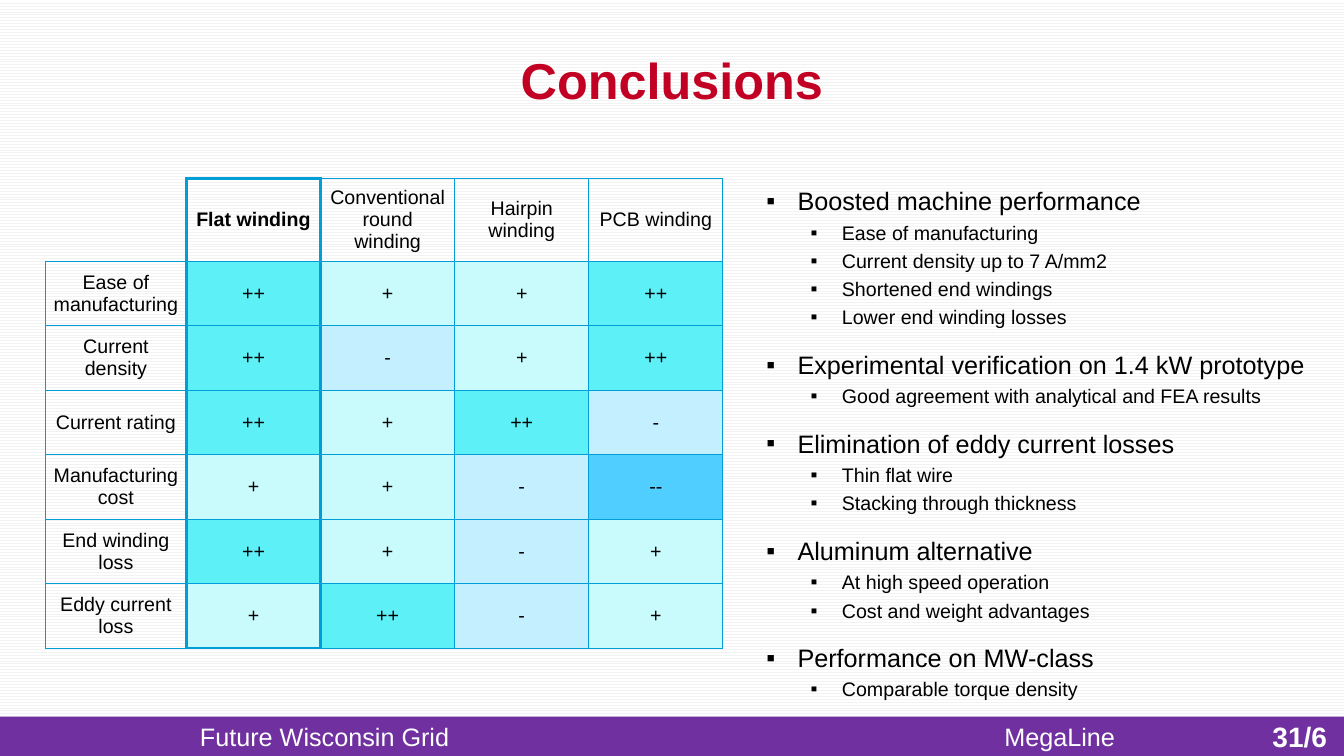
from dataclasses import dataclass

from lxml import etree
from pptx import Presentation
from pptx.dml.color import RGBColor
from pptx.enum.dml import MSO_PATTERN
from pptx.enum.shapes import MSO_SHAPE
from pptx.enum.text import MSO_ANCHOR, MSO_AUTO_SIZE, PP_ALIGN
from pptx.oxml.ns import qn
from pptx.slide import Slide
from pptx.table import _Cell
from pptx.util import Inches, Pt

ZIG_ZAG = MSO_PATTERN.ZIG_ZAG
RECTANGLE = MSO_SHAPE.RECTANGLE
MIDDLE, TOP = MSO_ANCHOR.MIDDLE, MSO_ANCHOR.TOP
NO_AUTOFIT = MSO_AUTO_SIZE.NONE
CENTER, LEFT, RIGHT = PP_ALIGN.CENTER, PP_ALIGN.LEFT, PP_ALIGN.RIGHT

WHITE = RGBColor(0xFF, 0xFF, 0xFF)
BLACK = RGBColor(0x00, 0x00, 0x00)
PALE_GRAY = RGBColor(0xF2, 0xF2, 0xF2)
PURPLE = RGBColor(0x70, 0x30, 0xA0)
CRIMSON = RGBColor(0xC2, 0x00, 0x24)
GRID_BLUE = RGBColor(0x00, 0x9D, 0xD9)
RATING_COLORS = {
    "++": RGBColor(0x5E, 0xF0, 0xF7),
    "+": RGBColor(0xC9, 0xFA, 0xFC),
    "-": RGBColor(0xC4, 0xEF, 0xFF),
    "--": RGBColor(0x4F, 0xCE, 0xFF),
}
FONT = "Arial"
SLIDE_WIDTH, SLIDE_HEIGHT = 13.33, 7.5
THIN, THICK = 0.75, 2.25
FEATURED_COLUMN = 1


@dataclass
class FooterText:
    text: str
    left: float
    top: float
    width: float
    height: float
    size: int
    align: PP_ALIGN
    bold: bool = False


@dataclass
class Finding:
    heading: str
    details: list[str]


FOOTER_TEXTS = [
    FooterText("MegaLine", 7.69, 7.1, 5.64, 0.41, 18, CENTER),
    FooterText("31/6", 12.25, 7.08, 1.01, 0.44, 20, RIGHT, True),
    FooterText("Future Wisconsin Grid", -0.04, 7.05, 6.52, 0.51, 18, CENTER),
]

WINDING_RATINGS = [
    ["", "Flat winding", "Conventional round winding", "Hairpin winding", "PCB winding"],
    ["Ease of manufacturing", "++", "+", "+", "++"],
    ["Current density", "++", "-", "+", "++"],
    ["Current rating", "++", "+", "++", "-"],
    ["Manufacturing cost", "+", "+", "-", "--"],
    ["End winding loss", "++", "+", "-", "+"],
    ["Eddy current loss", "+", "++", "-", "+"],
]

FINDINGS = [
    Finding("Boosted machine performance", [
        "Ease of manufacturing", "Current density up to 7 A/mm2",
        "Shortened end windings", "Lower end winding losses"]),
    Finding("Experimental verification on 1.4 kW prototype", [
        "Good agreement with analytical and FEA results"]),
    Finding("Elimination of eddy current losses", [
        "Thin flat wire", "Stacking through thickness"]),
    Finding("Aluminum alternative", [
        "At high speed operation", "Cost and weight advantages"]),
    Finding("Performance on MW-class", ["Comparable torque density"]),
]


def format_paragraph(paragraph, size: int, color: RGBColor, align: PP_ALIGN,
                     bold: bool = False) -> None:
    paragraph.alignment = align
    font = paragraph.font
    font.name, font.size, font.bold = FONT, Pt(size), bold
    font.color.rgb = color


def place(shape, left: float, top: float, width: float, height: float) -> None:
    shape.left, shape.top = Inches(left), Inches(top)
    shape.width, shape.height = Inches(width), Inches(height)


def add_footer(slide: Slide) -> None:
    band = slide.shapes.add_shape(
        RECTANGLE, 0, Inches(7.11), Inches(SLIDE_WIDTH), Inches(0.39))
    band.shadow.inherit = False
    band.fill.solid()
    band.fill.fore_color.rgb = PURPLE
    band.line.fill.background()
    for item in FOOTER_TEXTS:
        label = slide.shapes.add_textbox(
            Inches(item.left), Inches(item.top), Inches(item.width), Inches(item.height))
        frame = label.text_frame
        frame.word_wrap = True
        frame.vertical_anchor = MIDDLE
        frame.text = item.text
        format_paragraph(frame.paragraphs[0], item.size, WHITE, item.align, item.bold)


def add_title(slide: Slide) -> None:
    title = slide.shapes.title
    place(title, 0, 0.29, SLIDE_WIDTH, 1)
    frame = title.text_frame
    frame.vertical_anchor = MIDDLE
    frame.auto_size = NO_AUTOFIT
    frame.text = "Conclusions"
    format_paragraph(frame.paragraphs[0], 36, CRIMSON, CENTER, True)


def border_widths(row: int, column: int) -> dict[str, float]:
    """Widths of the left, right, top and bottom edges; 0 hides an edge."""
    widths = {"L": THIN, "R": THIN, "T": THIN, "B": THIN}
    if column == 0 and row == 0:
        widths["L"] = widths["T"] = 0
    if column in (FEATURED_COLUMN, FEATURED_COLUMN + 1):
        widths["L"] = THICK
    if column in (FEATURED_COLUMN - 1, FEATURED_COLUMN):
        widths["R"] = THICK
    if column == FEATURED_COLUMN and row == 0:
        widths["T"] = THICK
    if column == FEATURED_COLUMN and row == len(WINDING_RATINGS) - 1:
        widths["B"] = THICK
    return widths


def set_borders(cell: _Cell, widths: dict[str, float]) -> None:
    properties = cell._tc.get_or_add_tcPr()
    for side, width in widths.items():
        edge = etree.SubElement(properties, qn(f"a:ln{side}"), w=str(int(Pt(width))))
        if width:
            fill = etree.SubElement(edge, qn("a:solidFill"))
            etree.SubElement(fill, qn("a:srgbClr"), val=str(GRID_BLUE))
        else:
            etree.SubElement(edge, qn("a:noFill"))


def add_ratings_table(slide: Slide) -> None:
    row_heights = [0.82] + [0.64] * (len(WINDING_RATINGS) - 1)
    column_widths = [1.4] + [1.33] * (len(WINDING_RATINGS[0]) - 1)
    table = slide.shapes.add_table(
        len(row_heights), len(column_widths), Inches(0.45), Inches(1.77),
        Inches(sum(column_widths)), Inches(sum(row_heights))).table
    table.first_row = table.horz_banding = False
    for column, width in zip(table.columns, column_widths):
        column.width = Inches(width)
    for r, ratings in enumerate(WINDING_RATINGS):
        table.rows[r].height = Inches(row_heights[r])
        for c, text in enumerate(ratings):
            cell = table.cell(r, c)
            set_borders(cell, border_widths(r, c))
            if text in RATING_COLORS:
                cell.fill.solid()
                cell.fill.fore_color.rgb = RATING_COLORS[text]
            else:
                cell.fill.background()
            cell.margin_left = cell.margin_right = Inches(0.07)
            cell.margin_top = cell.margin_bottom = 0
            cell.vertical_anchor = MIDDLE
            cell.text = text
            format_paragraph(cell.text_frame.paragraphs[0], 14, BLACK, CENTER,
                             r == 0 and c == FEATURED_COLUMN)


def add_findings(slide: Slide) -> None:
    findings = slide.placeholders[1]
    place(findings, 7.5, 1.79, 5.68, 5.09)
    frame = findings.text_frame
    frame.vertical_anchor = TOP
    frame.auto_size = NO_AUTOFIT
    lines = [(text, level) for finding in FINDINGS
             for text, level in [(finding.heading, 0)] + [(d, 1) for d in finding.details]]
    for i, (text, level) in enumerate(lines):
        paragraph = frame.paragraphs[0] if i == 0 else frame.add_paragraph()
        paragraph.text = text
        paragraph.level = level
        properties = paragraph._p.get_or_add_pPr()
        properties.set("marL", str(int(Inches(0.75 if level else 0.31))))
        properties.set("indent", str(int(Inches(-0.31))))
        etree.SubElement(properties, qn("a:buFont"), typeface=FONT)
        etree.SubElement(properties, qn("a:buChar"), char="▪")
        paragraph.space_before = Pt(0 if i == 0 else 3.4 if level else 14.5)
        format_paragraph(paragraph, 14 if level else 18, BLACK, LEFT)


def main() -> None:
    presentation = Presentation()
    presentation.slide_width = Inches(SLIDE_WIDTH)
    presentation.slide_height = Inches(SLIDE_HEIGHT)
    slide = presentation.slides.add_slide(presentation.slide_layouts[1])

    # Background
    backdrop = slide.background.fill
    backdrop.patterned()
    backdrop.pattern = ZIG_ZAG
    backdrop.fore_color.rgb = PALE_GRAY
    backdrop.back_color.rgb = WHITE

    # Content
    add_footer(slide)
    add_title(slide)
    add_ratings_table(slide)
    add_findings(slide)
    presentation.save("out.pptx")


if __name__ == "__main__":
    main()
